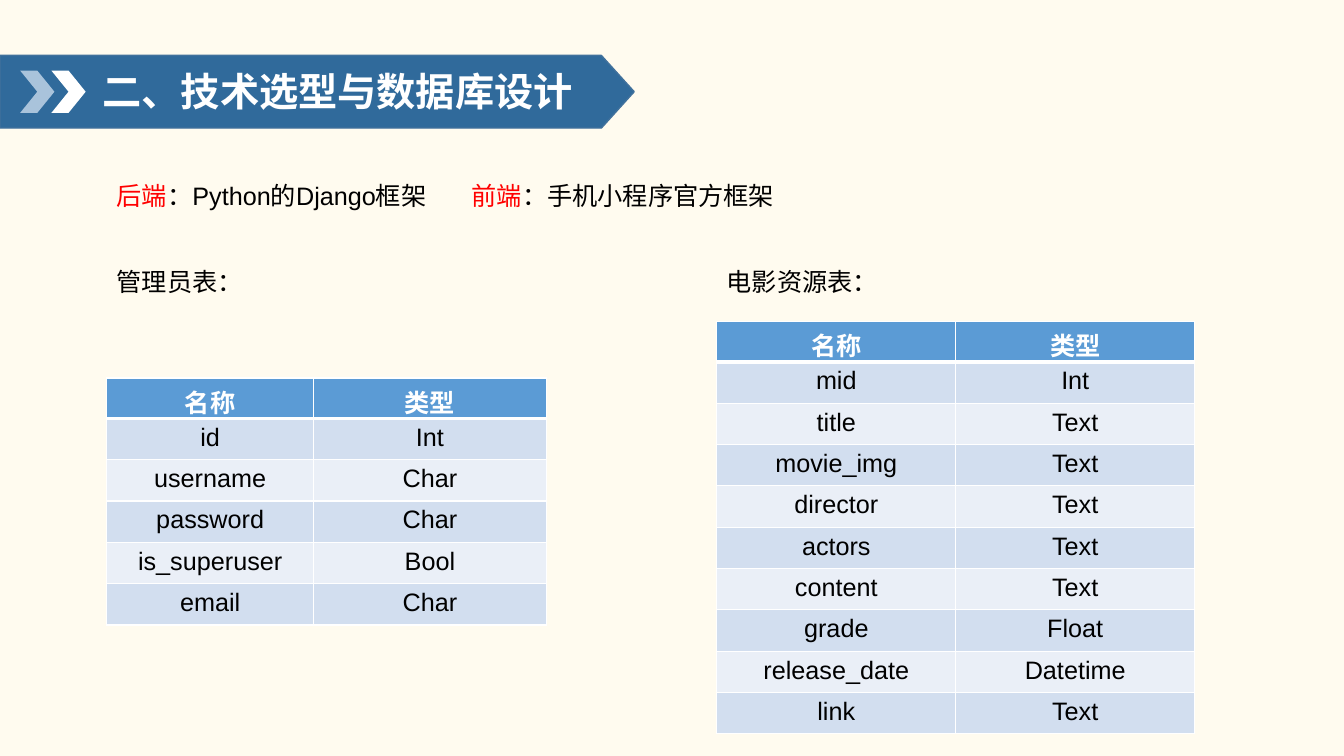
from lxml.etree import SubElement
from pptx import Presentation
from pptx.dml.color import RGBColor
from pptx.enum.shapes import MSO_SHAPE as Shape
from pptx.enum.text import MSO_ANCHOR as Anchor, MSO_AUTO_SIZE as AutoSize, PP_ALIGN as Align
from pptx.oxml.ns import qn
from pptx.util import Inches, Pt

WIDTH, HEIGHT = 13.33, 7.5
LEFT, RIGHT = 1.06, 7.11
ROW_HEIGHT, HEADER_HEIGHT = 0.41, 0.38
LATIN, CHINESE = "Arial", "Noto Sans CJK SC"

CREAM = RGBColor(0xFF, 0xFB, 0xEF)
BANNER = RGBColor(0x30, 0x6A, 0x9B)
BANNER_EDGE = RGBColor(0x41, 0x71, 0x9C)
PALE_BLUE = RGBColor(0xA9, 0xC3, 0xDB)
WHITE = RGBColor(0xFF, 0xFF, 0xFF)
BLACK = RGBColor(0, 0, 0)
RED = RGBColor(0xFF, 0, 0)
HEADER = RGBColor(0x5B, 0x9B, 0xD5)
BANDS = (RGBColor(0xEA, 0xEF, 0xF7), RGBColor(0xD2, 0xDE, 0xEF))

COLUMN_NAMES = ("名称", "类型")
ADMIN_FIELDS = (
    ("id", "Int"), ("username", "Char"), ("password", "Char"),
    ("is_superuser", "Bool"), ("email", "Char"),
)
MOVIE_FIELDS = (
    ("mid", "Int"), ("title", "Text"), ("movie_img", "Text"),
    ("director", "Text"), ("actors", "Text"), ("content", "Text"),
    ("grade", "Float"), ("release_date", "Datetime"), ("link", "Text"),
)


def add_span(para, text, color, size=18, bold=False, font=LATIN):
    span = para.add_run()
    span.text = text
    span.font.size, span.font.bold, span.font.name = Pt(size), bold, font
    span.font.color.rgb = color
    east_asian = SubElement(span.font._element, qn("a:ea"))
    east_asian.set("typeface", CHINESE)


def add_block(page, kind, left, top, width, height, fill, edge=None):
    block = page.shapes.add_shape(
        kind, Inches(left), Inches(top), Inches(width), Inches(height))
    block.shadow.inherit = False
    block.fill.solid()
    block.fill.fore_color.rgb = fill
    if edge is None:
        block.line.fill.background()
    else:
        block.line.color.rgb = edge
        block.line.width = Pt(1)
    return block


def add_box(page, left, top, width, height):
    """Add a wrapping text box and return its text frame."""
    box = page.shapes.add_textbox(
        Inches(left), Inches(top), Inches(width), Inches(height))
    box.text_frame.word_wrap = True
    return box.text_frame


def add_banner(page):
    arrow = add_block(page, Shape.PENTAGON, 0, 0.55, 6.29, 0.72, BANNER, BANNER_EDGE)
    arrow.adjustments[0] = 0.452
    for left, color in ((0.2, PALE_BLUE), (0.51, WHITE)):
        add_block(page, Shape.CHEVRON, left, 0.7, 0.34, 0.42, color)
    frame = add_box(page, 0.92, 0.58, 5.13, 0.71)
    frame.vertical_anchor = Anchor.MIDDLE
    para = frame.paragraphs[0]
    para.line_spacing = 0.9
    add_span(para, "二、技术选型与数据库设计", WHITE, 28, True, CHINESE)


def add_stack_line(page):
    """Name the back end and, after a tab stop, the front end."""
    frame = add_box(page, LEFT, 1.59, 11.61, 0.5)
    frame.auto_size = AutoSize.SHAPE_TO_FIT_TEXT
    para = frame.paragraphs[0]
    para.line_spacing = 1.5
    stops = SubElement(para._p.get_or_add_pPr(), qn("a:tabLst"))
    SubElement(stops, qn("a:tab"), pos=str(Inches(3.52)), algn="l")
    add_span(para, "后端", RED)
    add_span(para, "：Python的Django框架\t", BLACK)
    add_span(para, "前端", RED)
    add_span(para, "：手机小程序官方框架", BLACK)


def add_caption(page, left, text):
    frame = add_box(page, left, 2.59, 2.87, 0.4)
    frame.auto_size = AutoSize.SHAPE_TO_FIT_TEXT
    add_span(frame.paragraphs[0], text, BLACK)


def add_borders(cell, top, bottom):
    properties = cell._tc.get_or_add_tcPr()
    sides = (("lnL", 1), ("lnR", 1), ("lnT", top), ("lnB", bottom))
    for position, (side, points) in enumerate(sides):
        line = SubElement(properties, qn(f"a:{side}"), w=str(Pt(points)))
        properties.insert(position, line)
        fill = SubElement(line, qn("a:solidFill"))
        SubElement(fill, qn("a:srgbClr"), val=str(WHITE))


def add_field_table(page, left, top, widths, fields):
    rows = (COLUMN_NAMES, *fields)
    height = HEADER_HEIGHT + ROW_HEIGHT * len(fields)
    table = page.shapes.add_table(
        len(rows), len(widths), Inches(left), Inches(top),
        Inches(sum(widths)), Inches(height)).table
    for column, width in zip(table.columns, widths):
        column.width = Inches(width)
    for index, values in enumerate(rows):
        is_header = index == 0
        table.rows[index].height = Inches(HEADER_HEIGHT if is_header else ROW_HEIGHT)
        for position, value in enumerate(values):
            cell = table.cell(index, position)
            cell.fill.solid()
            cell.fill.fore_color.rgb = HEADER if is_header else BANDS[index % 2]
            add_borders(cell, 3 if index == 1 else 1, 3 if is_header else 1)
            para = cell.text_frame.paragraphs[0]
            para.alignment = Align.CENTER
            add_span(para, value, WHITE if is_header else BLACK, bold=is_header)


def main():
    deck = Presentation()
    deck.slide_width, deck.slide_height = Inches(WIDTH), Inches(HEIGHT)
    page = deck.slides.add_slide(deck.slide_layouts[6])
    page.background.fill.solid()
    page.background.fill.fore_color.rgb = CREAM
    add_banner(page)
    add_stack_line(page)
    add_caption(page, LEFT, "管理员表：")
    add_field_table(page, LEFT, 3.75, (2.05, 2.31), ADMIN_FIELDS)
    add_caption(page, RIGHT, "电影资源表：")
    add_field_table(page, RIGHT, 3.19, (2.37, 2.37), MOVIE_FIELDS)
    deck.save("out.pptx")


if __name__ == "__main__":
    main()
